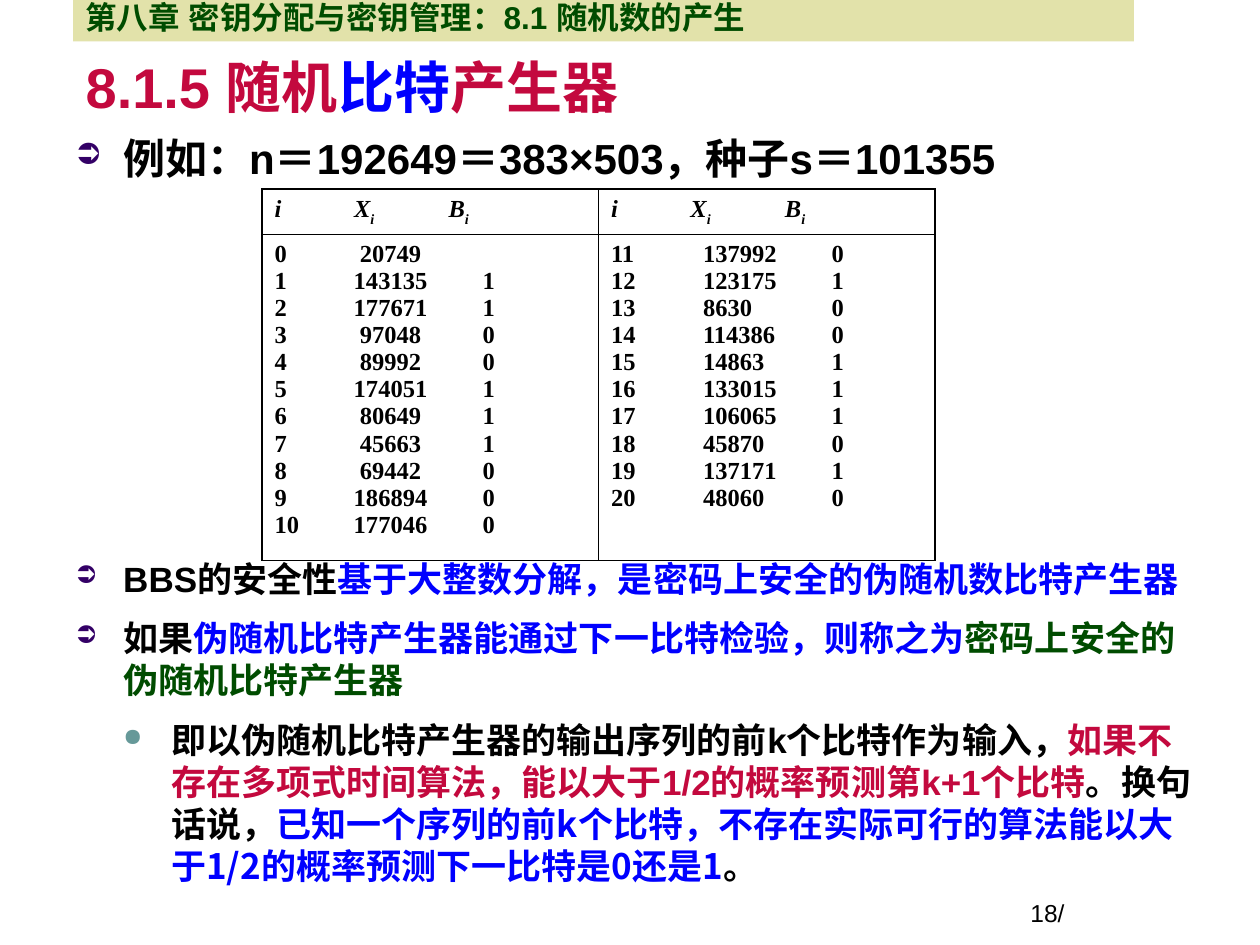
from lxml import etree
from pptx import Presentation
from pptx.dml.color import RGBColor
from pptx.enum.shapes import MSO_SHAPE
from pptx.enum.text import MSO_ANCHOR, MSO_AUTO_SIZE, PP_ALIGN
from pptx.oxml.ns import qn
from pptx.util import Inches, Pt

RECT = MSO_SHAPE.RECTANGLE
BOTTOM, TOP = MSO_ANCHOR.BOTTOM, MSO_ANCHOR.TOP
LEFT, FIXED = PP_ALIGN.LEFT, MSO_AUTO_SIZE.NONE

BLACK = RGBColor(0x00, 0x00, 0x00)
RED = RGBColor(0xC3, 0x09, 0x3E)
BLUE = RGBColor(0x00, 0x00, 0xFF)
GREEN = RGBColor(0x00, 0x4C, 0x00)
SAND = RGBColor(0xE2, 0xE2, 0xAA)
PURPLE = RGBColor(0x33, 0x00, 0x66)
TEAL = RGBColor(0x66, 0x99, 0x99)

SANS, SERIF, HAN = "Arial", "Times New Roman", "Noto Sans CJK SC"
LINE = 1.2   # line pitch as a share of the text size
STEP = 0.38  # indent of one outline level, inches

CHAPTER = [("第八章 密钥分配与密钥管理：8.1 随机数的产生", GREEN)]
TITLE = [("8.1.5 随机", RED), ("比特", BLUE), ("产生器", RED)]
NUMBER = [("18/", BLACK)]

# level, text size, space before in points, runs
POINTS = [
    (0, 24, 0, [("例如：n＝192649＝383×503，种子s＝101355", BLACK)]),
    (0, 20, 212, [("BBS的安全性", BLACK),
                  ("基于大整数分解，是密码上安全的伪随机数比特产生器", BLUE)]),
    (0, 20, 8, [("如果", BLACK),
                ("伪随机比特产生器能通过下一比特检验，则称之为", BLUE),
                ("密码上安全的伪随机比特产生器", GREEN)]),
    (1, 20, 8, [("即以伪随机比特产生器的输出序列的前k个比特作为输入，", BLACK),
                ("如果不存在多项式时间算法，能以大于1/2的概率预测第k+1个比特", RED),
                ("。换句话说，", BLACK),
                ("已知一个序列的前k个比特，不存在实际可行的算法"
                 "能以大于1/2的概率预测下一比特是0还是1", BLUE, HAN),
                ("。", BLACK)]),
]
BULLETS = [("➲", PURPLE), ("●", TEAL)]

STATES = [20749, 143135, 177671, 97048, 89992, 174051, 80649, 45663, 69442,
          186894, 177046, 137992, 123175, 8630, 114386, 14863, 133015,
          106065, 45870, 137171, 48060]
BITS = " 11001110000100111010"
HEAD = [("i\tX", False), ("i", True), ("\tB", False), ("i", True)]
HEAD_TABS = [(0.63, "l"), (1.38, "l")]
# first index, end index, tab stops
HALVES = [(0, 11, [(0.92, "ctr"), (1.65, "l")]),
          (11, 21, [(0.73, "l"), (1.75, "l")])]
COL, ROWS = 2.67, (0.36, 2.59)


def style(run, face, size, color, italic=False):
    looks = {"name": face, "size": Pt(size), "bold": True, "italic": italic}
    for key, value in looks.items():
        setattr(run.font, key, value)
    run.font.color.rgb = color


def write(para, runs, size, bold=True):
    para.alignment = LEFT
    para.line_spacing = Pt(size * LINE)
    for text, color, *face in runs:
        run = para.add_run()
        run.text = text
        style(run, face[0] if face else SANS, size, color)
        run.font.bold = bold
        etree.SubElement(run.font._element, qn("a:ea"), typeface=SANS)


def setup(shape, anchor):
    frame = shape.text_frame
    frame.word_wrap = True
    frame.auto_size = FIXED
    frame.vertical_anchor = anchor
    return frame


def box(slide, *place):
    return slide.shapes.add_textbox(*map(Inches, place))


def bullet(para, level):
    mark, color = BULLETS[level]
    props = para._p.get_or_add_pPr()
    props.set("marL", str(Inches(STEP * (level + 1))))
    props.set("indent", str(-Inches(STEP)))
    tint = etree.SubElement(props, qn("a:buClr"))
    etree.SubElement(tint, qn("a:srgbClr"), val=str(color))
    etree.SubElement(props, qn("a:buSzPct"), val="70000")
    etree.SubElement(props, qn("a:buChar"), char=mark)


def set_tabs(para, stops):
    tabs = etree.SubElement(para._p.get_or_add_pPr(), qn("a:tabLst"))
    for pos, algn in stops:
        etree.SubElement(tabs, qn("a:tab"), pos=str(Inches(pos)), algn=algn)


def border(cell):
    props = cell._tc.get_or_add_tcPr()
    for i, side in enumerate(("a:lnL", "a:lnR", "a:lnT", "a:lnB")):
        line = etree.Element(qn(side), w=str(Pt(1)))
        fill = etree.SubElement(line, qn("a:solidFill"))
        etree.SubElement(fill, qn("a:srgbClr"), val=str(BLACK))
        props.insert(i, line)


def fill_cell(cell, lines, stops, italic=False):
    """Write lines of (text, is subscript) runs, one paragraph per line."""
    cell.fill.background()
    border(cell)
    frame = cell.text_frame
    for n, line in enumerate(lines):
        para = frame.add_paragraph() if n else frame.paragraphs[0]
        set_tabs(para, stops)
        for text, sub in line:
            run = para.add_run()
            run.text = text
            style(run, SERIF, 14, BLACK, italic)
            if sub:
                run.font._element.set("baseline", "-30000")


def add_points(slide):
    frame = setup(box(slide, 0.5, 1, 9.17, 6), TOP)
    for n, (level, size, before, runs) in enumerate(POINTS):
        para = frame.add_paragraph() if n else frame.paragraphs[0]
        para.level = level
        write(para, runs, size)
        para.space_before, para.space_after = Pt(before), Pt(2)
        bullet(para, level)


def add_states(slide):
    place = map(Inches, (2.08, 1.5, COL * 2, sum(ROWS)))
    table = slide.shapes.add_table(2, 2, *place).table
    table.first_row = table.horz_banding = False
    for row, height in zip(table.rows, ROWS):
        row.height = Inches(height)
    for c, (start, end, stops) in enumerate(HALVES):
        table.columns[c].width = Inches(COL)
        fill_cell(table.cell(0, c), [HEAD], HEAD_TABS, italic=True)
        lines = [[(f"{i}\t{STATES[i]}\t{BITS[i]}".rstrip(), False)]
                 for i in range(start, end)]
        fill_cell(table.cell(1, c), lines, stops)


def main():
    deck = Presentation()
    deck.slide_width, deck.slide_height = Inches(10), Inches(7.5)
    slide = deck.slides.add_slide(deck.slide_layouts[5])

    title = slide.shapes.title
    spots = zip(("left", "top", "width", "height"), (0.58, 0.42, 8.42, 0.58))
    for key, value in spots:
        setattr(title, key, Inches(value))
    write(setup(title, BOTTOM).paragraphs[0], TITLE, 32)

    add_points(slide)
    page = setup(box(slide, 8.08, 7.08, 1.42, 0.33), TOP)
    write(page.paragraphs[0], NUMBER, 14, bold=False)

    bar = slide.shapes.add_shape(RECT, *map(Inches, (0.58, 0, 8.42, 0.33)))
    bar.shadow.inherit = False
    bar.fill.solid()
    bar.fill.fore_color.rgb = SAND
    bar.line.fill.background()
    write(setup(bar, BOTTOM).paragraphs[0], CHAPTER, 18)

    add_states(slide)
    deck.save("out.pptx")


if __name__ == "__main__":
    main()
